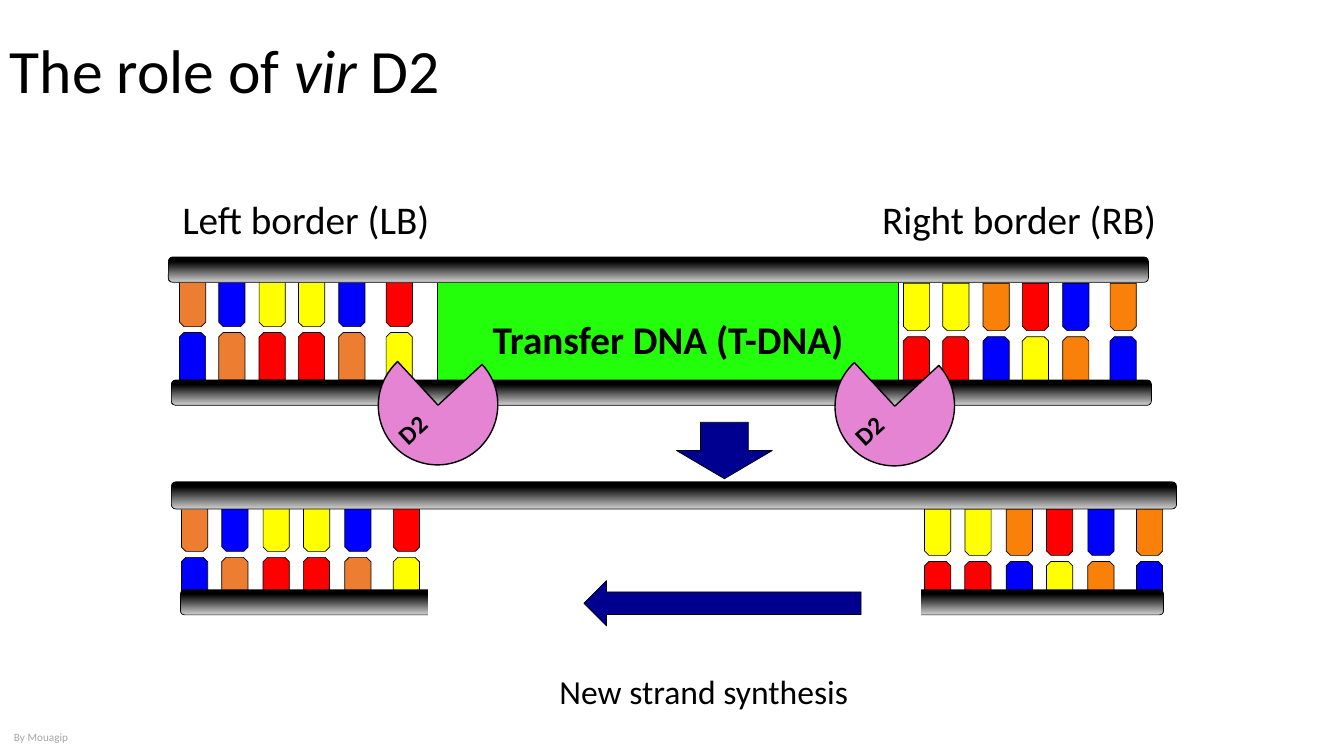
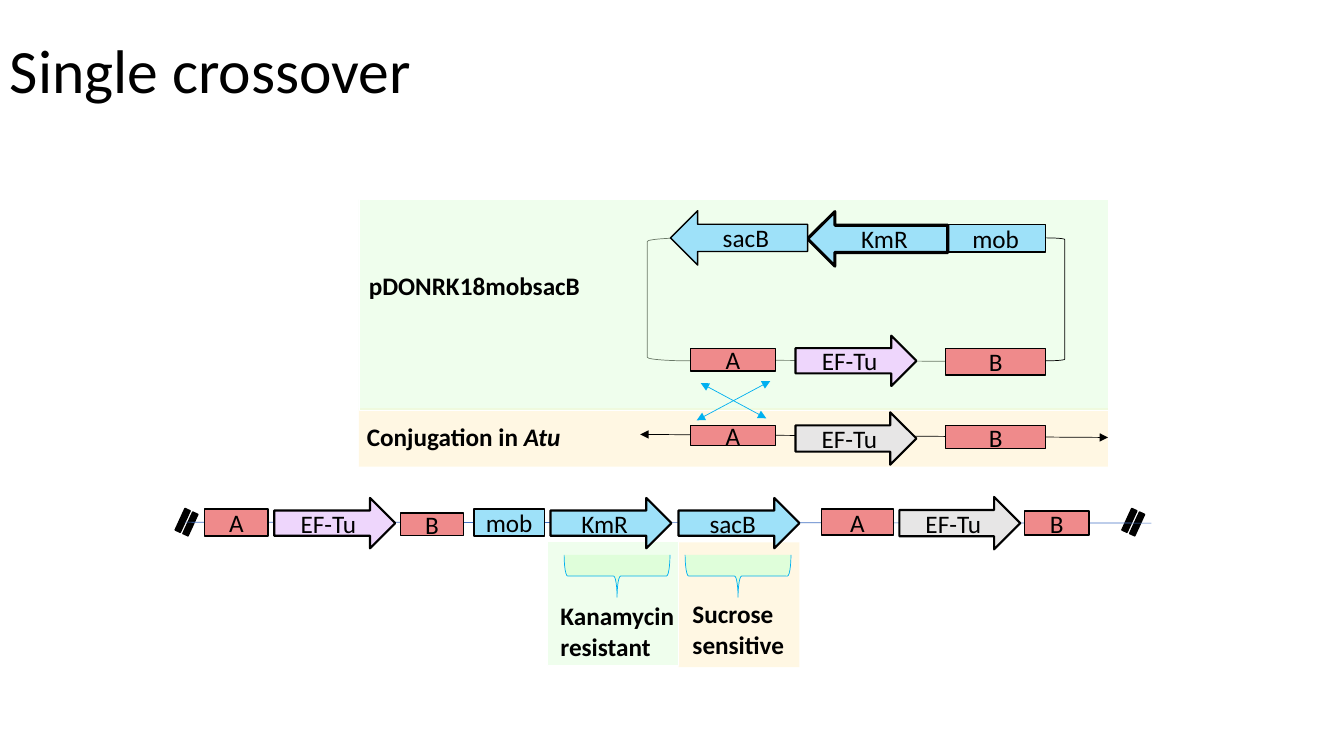
from copy import deepcopy
from dataclasses import dataclass
from typing import NamedTuple, Optional, Sequence

from lxml import etree
from pptx import Presentation
from pptx.dml.color import RGBColor
from pptx.enum.shapes import MSO_CONNECTOR, MSO_SHAPE
from pptx.enum.text import MSO_ANCHOR, PP_ALIGN
from pptx.oxml.ns import qn
from pptx.shapes.autoshape import Shape
from pptx.shapes.connector import Connector
from pptx.slide import Slide
from pptx.util import Inches, Pt

FONT = "Calibri"
BLACK = RGBColor(0x00, 0x00, 0x00)
WHITE = RGBColor(0xFF, 0xFF, 0xFF)
CREDIT_GREY = RGBColor(0xA6, 0xA6, 0xA6)
NAVY = RGBColor(0x00, 0x00, 0x90)
TDNA_GREEN = RGBColor(0x23, 0xFF, 0x0A)
ENZYME_PINK = RGBColor(0xE4, 0x84, 0xD2)
BLUE = RGBColor(0x00, 0x00, 0xFF)
RED = RGBColor(0xFF, 0x00, 0x00)
YELLOW = RGBColor(0xFF, 0xFF, 0x00)
LEFT_ORANGE = RGBColor(0xED, 0x7D, 0x31)
RIGHT_ORANGE = RGBColor(0xF9, 0x81, 0x09)
STRAND_STOPS = (
    (0.18, BLACK),
    (0.96, RGBColor(0xC5, 0xC5, 0xC5)),
    (1.0, RGBColor(0xE3, 0xE3, 0xE3)),
)
CREAM = RGBColor(0xFF, 0xF2, 0xCC)
MINT = RGBColor(0xDF, 0xFE, 0xDA)
SALMON = RGBColor(0xEF, 0x8A, 0x8B)
SKY = RGBColor(0x9E, 0xE1, 0xF9)
LILAC = RGBColor(0xEE, 0xD6, 0xFC)
SILVER = RGBColor(0xE7, 0xE6, 0xE6)
CYAN = RGBColor(0x00, 0xB0, 0xF0)
GENOME_BLUE = RGBColor(0x44, 0x72, 0xC4)

RECT = MSO_SHAPE.RECTANGLE
ROUND_RECT = MSO_SHAPE.ROUNDED_RECTANGLE
BASE = MSO_SHAPE.SNIP_2_SAME_RECTANGLE
PIE = MSO_SHAPE.PIE
DOWN_ARROW = MSO_SHAPE.DOWN_ARROW
LEFT_ARROW = MSO_SHAPE.LEFT_ARROW
RIGHT_ARROW = MSO_SHAPE.RIGHT_ARROW
LEFT_BRACKET = MSO_SHAPE.LEFT_BRACKET
RIGHT_BRACKET = MSO_SHAPE.RIGHT_BRACKET
RIGHT_BRACE = MSO_SHAPE.RIGHT_BRACE
EQUAL_SIGN = MSO_SHAPE.MATH_EQUAL
STRAIGHT = MSO_CONNECTOR.STRAIGHT
LEFT, CENTER = PP_ALIGN.LEFT, PP_ALIGN.CENTER
TOP, MIDDLE = MSO_ANCHOR.TOP, MSO_ANCHOR.MIDDLE
LEFT_SIDE, RIGHT_SIDE = 1, 3


class Box(NamedTuple):
    x: float
    y: float
    w: float
    h: float


class Run(NamedTuple):
    text: str
    italic: bool = False


@dataclass(frozen=True)
class Gene:
    label: str
    kind: MSO_SHAPE
    box: Box
    fill: RGBColor
    line_width: float = 1


@dataclass(frozen=True)
class Ladder:
    x: float
    y: float
    base_height: float
    spread: float
    sequence: str
    orange: RGBColor


BASE_OFFSETS = (0, 0.39, 0.79, 1.18, 1.58, 2.05)
BASE_WIDTH = 0.26
STRAND_GAP = 0.06
COMPLEMENT = {"O": "B", "B": "O", "Y": "R", "R": "Y"}
LEFT_SEQUENCE, RIGHT_SEQUENCE = "OBYYBR", "YYORBO"

LADDERS = (
    Ladder(1.78, 2.77, 0.47, 1, LEFT_SEQUENCE, LEFT_ORANGE),
    Ladder(8.96, 2.81, 0.47, 1, RIGHT_SEQUENCE, RIGHT_ORANGE),
    Ladder(1.8, 5.01, 0.46, 1.025, LEFT_SEQUENCE, LEFT_ORANGE),
    Ladder(9.17, 5.05, 0.46, 1.025, RIGHT_SEQUENCE, RIGHT_ORANGE),
)
STRANDS = (
    Box(1.67, 2.55, 9.72, 0.25),
    Box(1.7, 3.77, 9.72, 0.25),
    Box(1.7, 4.78, 9.97, 0.27),
    Box(1.79, 5.85, 9.75, 0.25),
)

PLASMID_A = Gene("A", RECT, Box(6.85, 3.46, 0.84, 0.22), SALMON)
PLASMID_B = Gene("B", RECT, Box(9.38, 3.46, 0.99, 0.26), SALMON)
CROSSOVER_GENES = (
    Gene("A", RECT, Box(6.85, 4.22, 0.84, 0.2), SALMON),
    Gene("B", RECT, Box(9.38, 4.22, 0.99, 0.23), SALMON),
    Gene("mob", RECT, Box(9.38, 2.23, 0.99, 0.27), SKY),
    Gene("KmR", LEFT_ARROW, Box(8.01, 2.1, 1.39, 0.54), SKY, 2.25),
    Gene("sacB", LEFT_ARROW, Box(6.65, 2.09, 1.36, 0.54), SKY),
    Gene("EF-Tu", RIGHT_ARROW, Box(7.89, 3.33, 1.2, 0.5), LILAC, 1.5),
    Gene("EF-Tu", RIGHT_ARROW, Box(7.89, 4.09, 1.2, 0.52), SILVER, 1.5),
)
GENOME_GENES = (
    Gene("A", RECT, Box(2.03, 5.05, 0.63, 0.27), SALMON),
    Gene("EF-Tu", RIGHT_ARROW, Box(2.72, 4.94, 1.2, 0.5), LILAC, 1.5),
    Gene("B", RECT, Box(3.97, 5.09, 0.63, 0.22), SALMON),
    Gene("mob", RECT, Box(4.7, 5.05, 0.7, 0.27), SKY),
    Gene("KmR", RIGHT_ARROW, Box(5.46, 4.94, 1.2, 0.5), SKY, 1.5),
    Gene("sacB", RIGHT_ARROW, Box(6.73, 4.94, 1.2, 0.5), SKY, 1.5),
    Gene("A", RECT, Box(8.15, 5.05, 0.71, 0.26), SALMON),
    Gene("EF-Tu", RIGHT_ARROW, Box(8.92, 4.93, 1.2, 0.52), SILVER, 1.5),
    Gene("B", RECT, Box(10.16, 5.07, 0.64, 0.24), SALMON),
)


def write_text(shape: Shape, runs: Sequence[Run], *, size: float = 18,
               bold: bool = False, color: RGBColor = BLACK,
               align: PP_ALIGN = LEFT, anchor: MSO_ANCHOR = TOP,
               line_spacing: Optional[float] = None) -> None:
    frame = shape.text_frame
    frame.word_wrap = True
    frame.vertical_anchor = anchor
    paragraph = frame.paragraphs[0]
    paragraph.alignment = align
    if line_spacing:
        paragraph.line_spacing = line_spacing
    for part in runs:
        run = paragraph.add_run()
        run.text = part.text
        run.font.name = FONT
        run.font.size = Pt(size)
        run.font.bold = bold
        run.font.italic = part.italic
        run.font.color.rgb = color


def add_text(slide: Slide, box: Box, *runs: Run, **text_format) -> None:
    write_text(slide.shapes.add_textbox(*map(Inches, box)), runs, **text_format)


def add_title(slide: Slide, *runs: Run) -> None:
    add_text(slide, Box(0, 0, 11.5, 1.45), *runs, size=44, anchor=MIDDLE,
             line_spacing=0.9)


def add_part(slide: Slide, kind: MSO_SHAPE, box: Box, *,
             fill: Optional[RGBColor] = None, line: Optional[RGBColor] = BLACK,
             line_width: float = 0.5, rotation: float = 0,
             opacity: Optional[int] = None) -> Shape:
    shape = slide.shapes.add_shape(kind, *map(Inches, box))
    shape.shadow.inherit = False
    shape.rotation = rotation
    if fill is None:
        shape.fill.background()
    else:
        shape.fill.solid()
        shape.fill.fore_color.rgb = fill
    if opacity is not None:
        color = shape._element.spPr.find(qn("a:solidFill"))[0]
        etree.SubElement(color, qn("a:alpha")).set("val", str(opacity * 1000))
    if line is None:
        shape.line.fill.background()
    else:
        shape.line.color.rgb = line
        shape.line.width = Pt(line_width)
    return shape


def add_line(slide: Slide, start: tuple[float, float], end: tuple[float, float],
             *, color: RGBColor = BLACK, arrows: bool = False) -> Connector:
    connector = slide.shapes.add_connector(STRAIGHT, *map(Inches, start + end))
    connector.line.color.rgb = color
    connector.line.width = Pt(0.5)
    if arrows:
        outline = connector.line._get_or_add_ln()
        for tag in ("a:headEnd", "a:tailEnd"):
            etree.SubElement(outline, qn(tag)).set("type", "triangle")
    etree.SubElement(connector._element.spPr, qn("a:effectLst"))
    return connector


def add_strand(slide: Slide, box: Box) -> None:
    strand = add_part(slide, ROUND_RECT, box)
    strand.fill.gradient()
    strand.fill.gradient_angle = 270
    stops = strand._element.spPr.find(qn("a:gradFill")).find(qn("a:gsLst"))
    stops.append(deepcopy(stops[-1]))
    for stop, (position, color) in zip(strand.fill.gradient_stops, STRAND_STOPS):
        stop.position = position
        stop.color.rgb = color


def add_ladder(slide: Slide, ladder: Ladder) -> None:
    colors = {"O": ladder.orange, "B": BLUE, "Y": YELLOW, "R": RED}
    height = ladder.base_height
    for offset, base in zip(BASE_OFFSETS, ladder.sequence):
        x = ladder.x + offset * ladder.spread
        add_part(slide, BASE, Box(x, ladder.y, BASE_WIDTH, height),
                 fill=colors[base], rotation=180)
        add_part(slide, BASE,
                 Box(x, ladder.y + height + STRAND_GAP, BASE_WIDTH, height),
                 fill=colors[COMPLEMENT[base]])


def add_gene(slide: Slide, gene: Gene) -> Shape:
    shape = add_part(slide, gene.kind, gene.box, fill=gene.fill,
                     line_width=gene.line_width)
    write_text(shape, [Run(gene.label)], align=CENTER, anchor=MIDDLE)
    return shape


def build_vir_d2(slide: Slide) -> None:
    add_title(slide, Run("The role of "), Run("vir ", italic=True), Run("D2"))
    add_text(slide, Box(0.04, 7.2, 4.73, 0.24), Run("By Mouagip"), size=8,
             color=CREDIT_GREY)
    add_part(slide, DOWN_ARROW, Box(6.71, 4.19, 0.95, 0.56), fill=NAVY)
    add_text(slide, Box(4.77, 6.61, 4.42, 0.5), Run("New strand synthesis"),
             size=24, align=CENTER)
    transfer_dna = add_part(slide, RECT, Box(4.34, 2.74, 4.57, 1.25),
                            fill=TDNA_GREEN)
    write_text(transfer_dna, [Run("Transfer DNA (T-DNA)")], size=28, bold=True,
               align=CENTER, anchor=MIDDLE)
    add_text(slide, Box(1.71, 1.89, 2.97, 0.59), Run("Left border (LB)"), size=28)
    add_text(slide, Box(8.65, 1.89, 3.23, 0.59), Run("Right border (RB)"), size=28)
    for ladder in LADDERS:
        add_ladder(slide, ladder)
    for strand in STRANDS:
        add_strand(slide, strand)
    for x, y in ((3.75, 3.43), (8.28, 3.44)):
        enzyme = add_part(slide, PIE, Box(x, y, 1.19, 1.18), fill=ENZYME_PINK,
                          line_width=1, rotation=317.2)
        write_text(enzyme, [Run("D2")], bold=True, anchor=MIDDLE)
    add_part(slide, RECT, Box(4.25, 5.53, 4.88, 0.6), fill=WHITE, line=WHITE)
    add_part(slide, LEFT_ARROW, Box(5.79, 5.76, 2.75, 0.45), fill=NAVY)


def build_single_crossover(slide: Slide) -> None:
    add_part(slide, RECT, Box(6.73, 5.38, 1.2, 1.24), fill=CREAM, line=None,
             opacity=54)
    plasmid_line = add_line(slide, (6.85, 3.57), (10.37, 3.59))
    conjugation = add_part(slide, RECT, Box(3.56, 4.05, 7.43, 0.58), fill=CREAM,
                           line=None, opacity=54)
    chromosome = add_line(slide, (6.35, 4.31), (10.99, 4.34), arrows=True)
    chromosome.end_connect(conjugation, RIGHT_SIDE)
    add_part(slide, RECT, Box(5.43, 5.37, 1.3, 1.23), fill=MINT, line=WHITE,
             opacity=48)
    add_part(slide, LEFT_BRACKET, Box(6.42, 2.36, 0.43, 1.22))
    add_part(slide, RECT, Box(3.56, 1.98, 7.43, 2.09), fill=MINT, line=WHITE,
             opacity=48)
    add_title(slide, Run("Single crossover"))
    plasmid_line.begin_connect(add_gene(slide, PLASMID_A), LEFT_SIDE)
    plasmid_line.end_connect(add_gene(slide, PLASMID_B), RIGHT_SIDE)
    for gene in CROSSOVER_GENES:
        add_gene(slide, gene)
    add_part(slide, RIGHT_BRACKET, Box(10.37, 2.36, 0.19, 1.22))
    for start, end in (((6.95, 3.8), (7.6, 4.15)), ((6.91, 4.17), (7.64, 3.78))):
        add_line(slide, start, end, color=CYAN, arrows=True)
    add_text(slide, Box(3.56, 2.63, 2.37, 0.4), Run("pDONRK18mobsacB"), bold=True)
    add_text(slide, Box(3.54, 4.13, 2.37, 0.4), Run("Conjugation in "),
             Run("Atu", italic=True), bold=True)
    for x in (1.69, 11.08):
        add_part(slide, EQUAL_SIGN, Box(x, 5.06, 0.32, 0.24), fill=BLACK,
                 line_width=1, rotation=294.6)
    add_line(slide, (1.83, 5.18), (11.42, 5.19), color=GENOME_BLUE)
    for gene in GENOME_GENES:
        add_gene(slide, gene)
    add_text(slide, Box(5.46, 5.91, 1.53, 0.71), Run("Kanamycin resistant"),
             bold=True)
    add_text(slide, Box(6.77, 5.89, 1.2, 0.71), Run("Sucrose sensitive"), bold=True)
    for x in (5.91, 7.11):
        add_part(slide, RIGHT_BRACE, Box(x, 5.19, 0.42, 1.05), fill=MINT,
                 line=CYAN, rotation=90)


def main() -> None:
    deck = Presentation()
    deck.slide_width, deck.slide_height = Inches(13.33), Inches(7.5)
    blank = deck.slide_layouts[6]
    for build in (build_vir_d2, build_single_crossover):
        build(deck.slides.add_slide(blank))
    deck.save("out.pptx")


if __name__ == "__main__":
    main()
